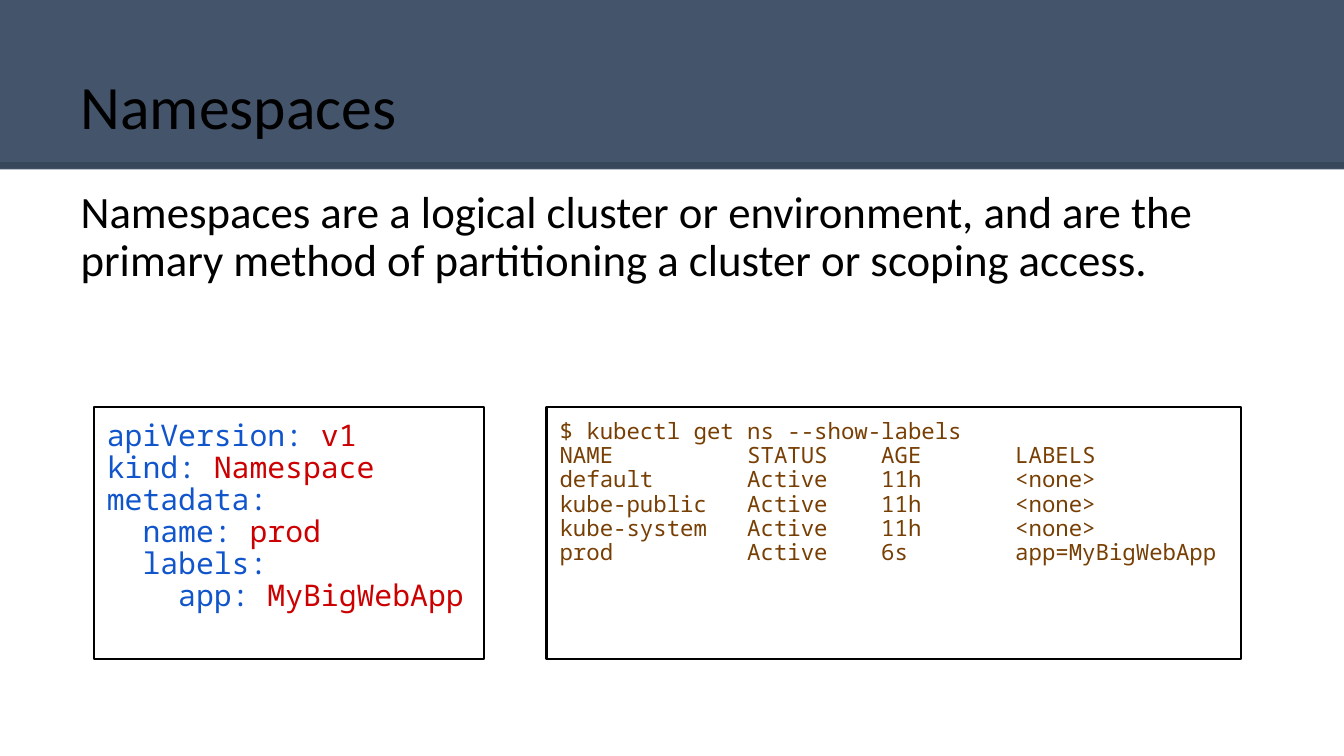
from lxml import etree
from pptx import Presentation
from pptx.dml.color import RGBColor
from pptx.enum.shapes import MSO_CONNECTOR as CONNECTOR, MSO_SHAPE as SHAPE
from pptx.enum.text import MSO_ANCHOR as ANCHOR, PP_ALIGN as ALIGN
from pptx.oxml.ns import qn
from pptx.util import Inches, Pt

BLACK = RGBColor(0x00, 0x00, 0x00)
SLATE = RGBColor(0x44, 0x54, 0x6A)
KEY_BLUE = RGBColor(0x11, 0x55, 0xCC)
VALUE_RED = RGBColor(0xCC, 0x00, 0x00)
OUTPUT_BROWN = RGBColor(0x78, 0x3F, 0x04)

SLIDE_WIDTH, SLIDE_HEIGHT = 13.33, 7.5
BODY_FONT, CODE_FONT = "Calibri", "Noto Sans Mono"
CODE_TOP, CODE_HEIGHT = 4.04, 2.5

DEFINITION = (
    "Namespaces are a logical cluster or environment, and are the "
    "primary method of partitioning a cluster or scoping access."
)
MANIFEST = [
    ("apiVersion: ", "v1"),
    ("kind: ", "Namespace"),
    ("metadata:", ""),
    ("  name: ", "prod"),
    ("  labels:", ""),
    ("    app: ", "MyBigWebApp"),
]
CONSOLE = [
    "$ kubectl get ns --show-labels",
    "NAME          STATUS    AGE       LABELS",
    "default       Active    11h       <none>",
    "kube-public   Active    11h       <none>",
    "kube-system   Active    11h       <none>",
    "prod          Active    6s        app=MyBigWebApp",
]


class SlideBuilder:
    def __init__(self, slide):
        self.slide = slide
        self.margin = Inches(0.13)
        self.line_spacing = 0.9

    def band(self, height, color):
        """Draw a filled band across the top of the slide."""
        shape = self.slide.shapes.add_shape(
            SHAPE.RECTANGLE, 0, 0, Inches(SLIDE_WIDTH), Inches(height))
        shape.shadow.inherit = False
        shape.fill.solid()
        shape.fill.fore_color.rgb = color
        shape.line.fill.background()

    def rule(self, top, width, color, opacity):
        """Draw a translucent line across the slide; opacity is in percent."""
        connector = self.slide.shapes.add_connector(
            CONNECTOR.STRAIGHT, 0, Inches(top), Inches(SLIDE_WIDTH), Inches(top))
        connector.line.width = Pt(width)
        connector.line.color.rgb = color
        properties = connector._element.spPr
        color_element = properties.find(".//" + qn("a:srgbClr"))
        etree.SubElement(color_element, qn("a:alpha"), val=str(opacity * 1000))
        etree.SubElement(properties, qn("a:effectLst"))

    def text(self, box, lines, font, size, anchor=ANCHOR.TOP):
        """Add a text box; each line is a list of (text, color) runs."""
        shape = self.slide.shapes.add_textbox(*map(Inches, box))
        self.fill_text(shape.text_frame, lines, font, size, anchor)

    def code_panel(self, left, width, lines, size):
        shape = self.slide.shapes.add_shape(
            SHAPE.RECTANGLE, Inches(left), Inches(CODE_TOP),
            Inches(width), Inches(CODE_HEIGHT))
        shape.shadow.inherit = False
        shape.fill.background()
        shape.line.color.rgb = BLACK
        shape.line.width = Pt(1.5)
        self.fill_text(shape.text_frame, lines, CODE_FONT, size, ANCHOR.TOP)

    def fill_text(self, frame, lines, font, size, anchor):
        frame_format = {
            "word_wrap": True,
            "vertical_anchor": anchor,
            "margin_left": self.margin,
            "margin_right": self.margin,
            "margin_top": self.margin,
            "margin_bottom": self.margin,
        }
        for name, value in frame_format.items():
            setattr(frame, name, value)
        for index, runs in enumerate(lines):
            paragraph = frame.add_paragraph() if index else frame.paragraphs[0]
            paragraph.alignment = ALIGN.LEFT
            paragraph.line_spacing = self.line_spacing
            for text, color in runs:
                run = paragraph.add_run()
                run.text = text
                for name, value in {"name": font, "size": Pt(size)}.items():
                    setattr(run.font, name, value)
                run.font.color.rgb = color


def main():
    presentation = Presentation()
    presentation.slide_width = Inches(SLIDE_WIDTH)
    presentation.slide_height = Inches(SLIDE_HEIGHT)
    builder = SlideBuilder(
        presentation.slides.add_slide(presentation.slide_layouts[6]))

    builder.band(1.68, SLATE)
    builder.rule(1.64, 4.5, BLACK, opacity=15)
    builder.text((0.67, 0.3, 12, 1.25), [[("Namespaces", BLACK)]],
                 BODY_FONT, 44, ANCHOR.BOTTOM)
    builder.text((0.67, 1.75, 12, 2.29), [[(DEFINITION, BLACK)]], BODY_FONT, 32)

    manifest_lines = [
        [(text, color) for text, color in ((key, KEY_BLUE), (value, VALUE_RED)) if text]
        for key, value in MANIFEST
    ]
    builder.code_panel(0.93, 3.87, manifest_lines, 21.3)
    builder.code_panel(5.42, 6.89, [[(line, OUTPUT_BROWN)] for line in CONSOLE], 16)

    presentation.save("out.pptx")


if __name__ == "__main__":
    main()
